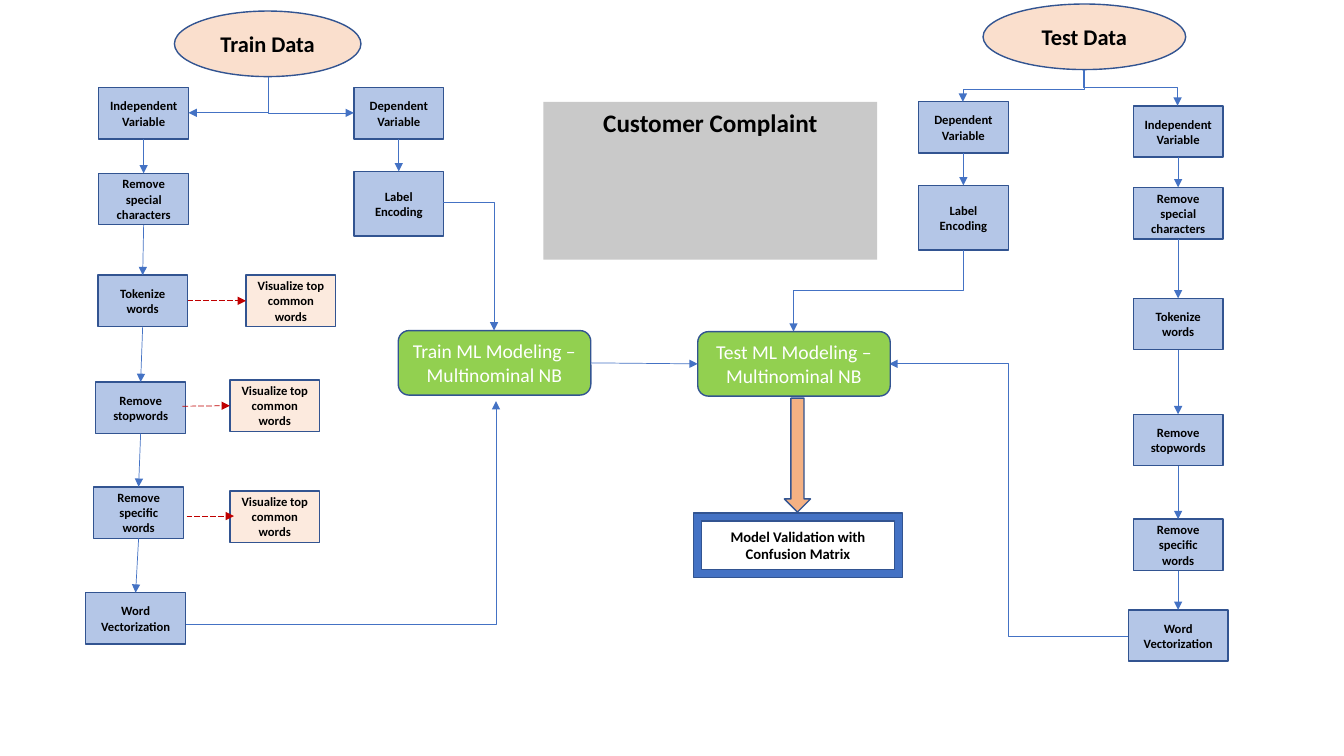
import lxml.etree
import pptx
import pptx.dml.color
import pptx.enum.dml
import pptx.enum.shapes
import pptx.enum.text
import pptx.oxml.ns
import pptx.util

Inches = pptx.util.Inches
Color = pptx.dml.color.RGBColor
Shape = pptx.enum.shapes.MSO_SHAPE
Link = pptx.enum.shapes.MSO_CONNECTOR
Anchor = pptx.enum.text.MSO_ANCHOR
qn = pptx.oxml.ns.qn

BLACK = Color(0x00, 0x00, 0x00)
WHITE = Color(0xFF, 0xFF, 0xFF)
BLUE = Color(0x44, 0x72, 0xC4)
NAVY = Color(0x32, 0x54, 0x91)
ORANGE = Color(0xF4, 0xB1, 0x83)
PEACH = Color(0xF8, 0xCB, 0xAD)
GREEN = Color(0x92, 0xD0, 0x50)
GRAY = Color(0xC9, 0xC9, 0xC9)
RED = Color(0xC0, 0x00, 0x00)

TOP, LEFT, BOTTOM, RIGHT = range(4)
STEP_WIDTH, STEP_HEIGHT = 0.89, 0.51
LABEL_HEIGHT = 0.64


def write(shape, text, size=9, bold=True, color=BLACK, anchor=Anchor.MIDDLE):
    frame = shape.text_frame
    frame.word_wrap = True
    frame.vertical_anchor = anchor
    para = frame.paragraphs[0]
    para.alignment = pptx.enum.text.PP_ALIGN.CENTER
    span = para.add_run()
    span.text = text
    span.font.name = "Calibri"
    span.font.size = pptx.util.Pt(size)
    span.font.bold = bold
    span.font.color.rgb = color


def add_box(page, left, top, width, height, fill, text="", kind=Shape.RECTANGLE,
            opacity=100, **text_format):
    box = page.shapes.add_shape(
        kind, Inches(left), Inches(top), Inches(width), Inches(height))
    box.shadow.inherit = False
    box.fill.solid()
    box.fill.fore_color.rgb = fill
    if opacity < 100:
        tint = box.fill._xPr.find(".//" + qn("a:srgbClr"))
        lxml.etree.SubElement(tint, qn("a:alpha")).set("val", str(opacity * 1000))
    box.line.color.rgb = NAVY
    box.line.width = pptx.util.Pt(1)
    if text:
        write(box, text, **text_format)
    return box


def add_step(page, left, top, text, width=STEP_WIDTH, height=STEP_HEIGHT, fill=BLUE):
    return add_box(page, left, top, width, height, fill, text, opacity=40)


def style_arrow(connector, color=BLUE, dashed=False):
    connector.line.color.rgb = color
    connector.line.width = pptx.util.Pt(0.5)
    if dashed:
        connector.line.dash_style = pptx.enum.dml.MSO_LINE.LONG_DASH
    outline = connector.line._get_or_add_ln()
    lxml.etree.SubElement(outline, qn("a:tailEnd")).set("type", "triangle")
    lxml.etree.SubElement(connector._element.spPr, qn("a:effectLst"))


def add_arrow(page, begin, end, **line_format):
    """Draw a straight arrow; each end is a (box, side) pair or an (x, y) point."""
    joins = [isinstance(place[0], (int, float)) is False for place in (begin, end)]
    points = [(0, 0) if joined else place for place, joined in zip((begin, end), joins)]
    arrow = page.shapes.add_connector(
        Link.STRAIGHT, *[Inches(value) for point in points for value in point])
    if joins[0]:
        arrow.begin_connect(*begin)
    if joins[1]:
        arrow.end_connect(*end)
    style_arrow(arrow, **line_format)


def add_elbow(page, begin, end, bends=2, vertical_first=False, bend_at=None):
    """Draw a bent arrow; bend_at is the share of the way to the middle segment."""
    (x1, y1), (x2, y2) = begin, end
    if vertical_first:
        # The unturned path, which a quarter turn clockwise brings into place.
        middle_x, middle_y = (x1 + x2) / 2, (y1 + y2) / 2
        half_x, half_y = (x2 - x1) / 2, (y2 - y1) / 2
        x1, x2 = middle_x - half_y, middle_x + half_y
        y1, y2 = middle_y + half_x, middle_y - half_x
    elbow = page.shapes.add_connector(
        Link.ELBOW, Inches(x1), Inches(y1), Inches(x2), Inches(y2))
    properties = elbow._element.spPr
    if vertical_first:
        properties.find(qn("a:xfrm")).set("rot", str(90 * 60000))
    geometry = properties.find(qn("a:prstGeom"))
    geometry.set("prst", f"bentConnector{bends + 1}")
    if bend_at is not None:
        guide = lxml.etree.SubElement(geometry.find(qn("a:avLst")), qn("a:gd"))
        guide.set("name", "adj1")
        guide.set("fmla", f"val {round(bend_at * 100000)}")
    style_arrow(elbow)


def add_chain(page, places, vectorization):
    """Stack the text preparation steps and join each to the next."""
    names = ["Independent Variable", "Remove special characters", "Tokenize words",
             "Remove stopwords", "Remove specific words"]
    steps = [add_step(page, left, top, name) for (left, top), name in zip(places, names)]
    steps.append(add_step(page, *vectorization, "Word Vectorization", width=0.99))
    for upper, lower in zip(steps, steps[1:]):
        add_arrow(page, (upper, BOTTOM), (lower, TOP))
    return steps


def add_labels(page, left, top):
    dependent = add_step(page, left, top, "Dependent Variable")
    encoding = add_step(page, left, top + 0.83, "Label Encoding", height=LABEL_HEIGHT)
    add_arrow(page, (dependent, BOTTOM), (encoding, TOP))


def add_source(page, left, top, width, text):
    add_box(page, left, top, width, 0.65, ORANGE, text, Shape.OVAL, opacity=40, size=16)


def add_model(page, left, top, text):
    return add_box(page, left, top, 1.91, LABEL_HEIGHT, GREEN, text,
                   Shape.ROUNDED_RECTANGLE, size=14, bold=False, color=WHITE)


def add_title(page, text):
    title = page.shapes.title
    title.left, title.top = Inches(5.39), Inches(1.01)
    title.width, title.height = Inches(3.31), Inches(0.4)
    title.fill.solid()
    title.fill.fore_color.rgb = GRAY
    write(title, text, size=18, anchor=Anchor.TOP)
    title.text_frame.auto_size = pptx.enum.text.MSO_AUTO_SIZE.SHAPE_TO_FIT_TEXT


def add_train_side(page):
    add_source(page, 1.73, 0.11, 1.85, "Train Data")
    add_labels(page, 3.51, 0.87)
    places = [(0.98, 0.87), (0.98, 1.72), (0.97, 2.73), (0.95, 3.79), (0.93, 4.83)]
    steps = add_chain(page, places, (0.85, 5.88))
    tokens, stopwords, specific = [
        add_step(page, left, top, "Visualize top common words", fill=PEACH)
        for left, top in [(2.44, 2.73), (2.28, 3.77), (2.28, 4.87)]]
    for begin, end in [((steps[2], RIGHT), (tokens, LEFT)),
                       ((1.81, 4.03), (stopwords, LEFT)),
                       ((1.85, 5.12), (2.32, 5.12))]:
        add_arrow(page, begin, end, color=RED, dashed=True)
    for side in (1.87, 3.51):
        add_elbow(page, (2.66, 0.76), (side, 1.12), bends=1, vertical_first=True)
    add_elbow(page, (1.85, 6.19), (4.92, 3.98), bends=1)
    add_elbow(page, (4.39, 2.01), (4.9, 3.28), bends=1)


def add_test_side(page):
    add_source(page, 9.75, 0.04, 2.01, "Test Data")
    add_labels(page, 9.11, 1.01)
    places = [(11.24, top) for top in (1.05, 1.86, 2.96, 4.11, 5.15)]
    add_chain(page, places, (11.19, 6.05))
    add_elbow(page, (10.75, 0.69), (9.55, 1.01), vertical_first=True, bend_at=0.6)
    add_elbow(page, (10.75, 0.69), (11.68, 1.05), vertical_first=True)
    add_elbow(page, (9.55, 2.48), (7.87, 3.29), vertical_first=True)
    add_elbow(page, (11.19, 6.31), (8.82, 3.61))


def add_models(page):
    train = add_model(page, 3.95, 3.28, "Train ML Modeling – Multinominal NB")
    test = add_model(page, 6.92, 3.29, "Test ML Modeling – Multinominal NB")
    add_arrow(page, (train, RIGHT), (test, LEFT))
    add_box(page, 6.88, 5.09, 2.07, LABEL_HEIGHT, BLUE,
            "Model Validation with Confusion Matrix", Shape.FRAME, size=10.5)
    add_box(page, 7.78, 3.95, 0.26, 1.13, ORANGE, kind=Shape.DOWN_ARROW)


def main():
    deck = pptx.Presentation()
    deck.slide_width, deck.slide_height = Inches(13.33), Inches(7.5)
    page = deck.slides.add_slide(deck.slide_layouts.get_by_name("Title Only"))
    add_title(page, "Customer Complaint")
    add_train_side(page)
    add_test_side(page)
    add_models(page)
    deck.save("out.pptx")


if __name__ == "__main__":
    main()
